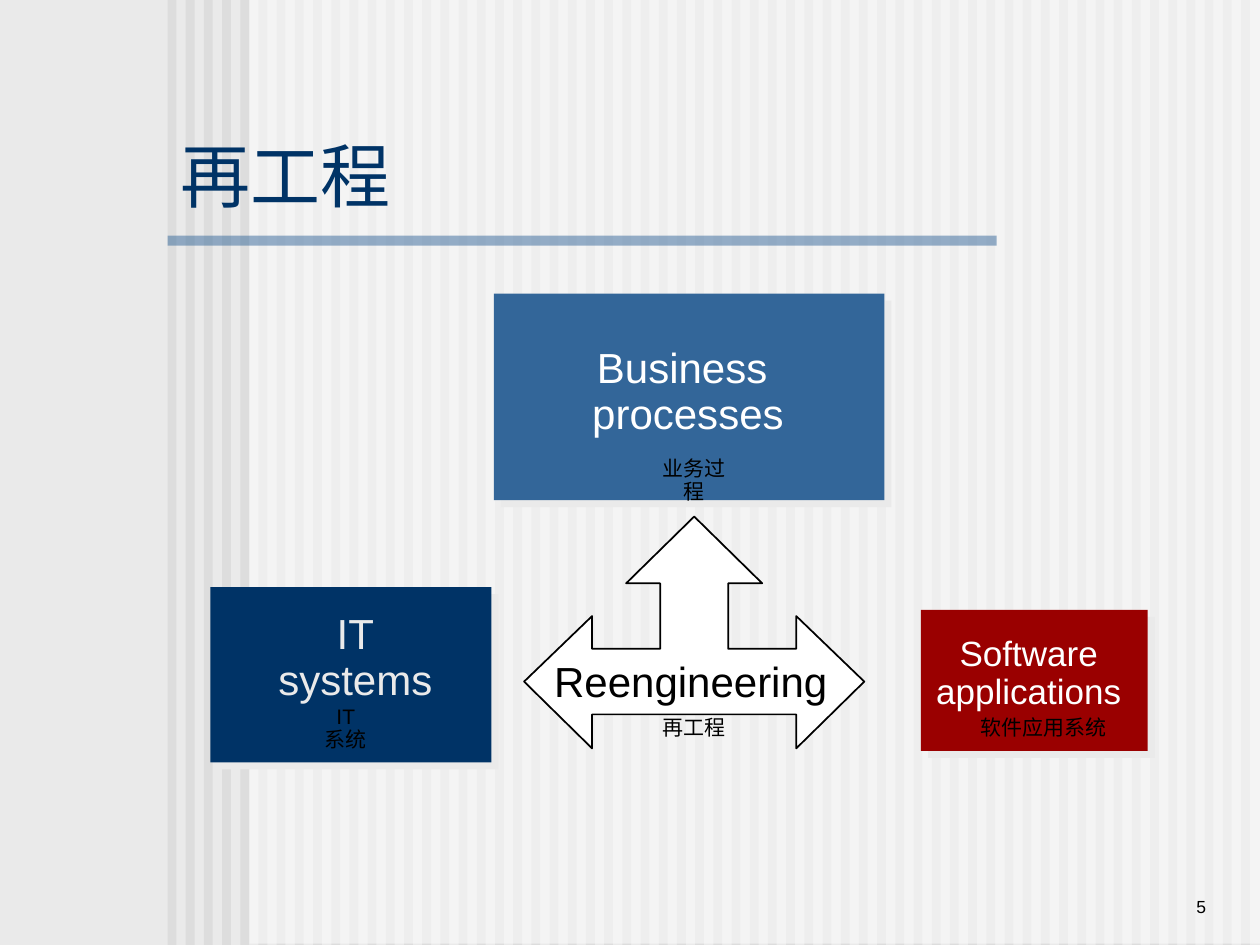
"""Build the reengineering slide: striped ground, three boxes and a three-way arrow."""
from dataclasses import dataclass
from typing import Any

import lxml.etree
import pptx
import pptx.dml.color
import pptx.enum.shapes
import pptx.enum.text
import pptx.oxml.ns
import pptx.util

Inches = pptx.util.Inches
Align = pptx.enum.text.PP_ALIGN
Anchor = pptx.enum.text.MSO_ANCHOR
qn = pptx.oxml.ns.qn


@dataclass
class Box:
    left: float
    top: float
    width: float
    height: float
    fill: str
    alpha: int = 100


@dataclass
class Label:
    left: float
    top: float
    width: float
    height: float
    lines: tuple[str, ...]
    size: int = 12
    color: str = "000000"
    align: Any = Align.CENTER
    space: float = 0.9


BOXES = [
    Box(3.92, 2.33, 3.1, 1.64, "336699"),
    Box(1.67, 4.66, 2.23, 1.39, "003366"),
    Box(7.31, 4.84, 1.8, 1.12, "9A0000"),
]
LABELS = [
    Label(5.08, 3.59, 0.86, 0.28, ("业务过程",)),
    Label(2.48, 5.56, 0.53, 0.46, ("IT", "系统")),
    Label(7.68, 5.64, 1.2, 0.28, ("软件应用系统",)),
    Label(5.16, 5.64, 0.7, 0.28, ("再工程",)),
    Label(4.6, 2.71, 1.72, 0.82, ("Business ", "processes"), 24, "FFFFFF"),
    Label(2.11, 4.82, 1.42, 0.82, ("IT", "systems"), 24, "EAEAEA"),
    Label(7.33, 5, 1.67, 0.7, ("Software", "applications"), 20, "FFFFFF"),
    Label(4.3, 5.2, 2.37, 0.46, ("Reengineering",), 24, align=Align.LEFT),
]
MID = 551
HALF = [(0, 410), (54, 463), (27, 463), (27, 515), (81, 515),
        (81, 489), (135, 541), (81, 594), (81, 567)]


def paint(item: Any, color: str) -> None:
    """Give a fill a solid colour."""
    item.solid()
    item.fore_color.rgb = pptx.dml.color.RGBColor.from_string(color)


def write(para: Any, text: str, size: int, color: str) -> None:
    """Add one formatted run to a paragraph."""
    run = para.add_run()
    run.text = text
    run.font.size = pptx.util.Pt(size)
    run.font.name = "Arial"
    paint(run.font.fill, color)


def add_box(shapes: Any, box: Box) -> Any:
    """Draw a plain rectangle, see-through where alpha is below 100."""
    shape = shapes.add_shape(
        pptx.enum.shapes.MSO_SHAPE.RECTANGLE, Inches(box.left), Inches(box.top),
        Inches(box.width), Inches(box.height))
    paint(shape.fill, box.fill)
    shape.line.fill.background()
    shape.shadow.inherit = False
    if box.alpha < 100:
        color = shape.element.spPr.find(qn("a:solidFill"))[0]
        lxml.etree.SubElement(color, qn("a:alpha"), val=str(box.alpha * 1000))
    return shape


def add_shade(shape: Any) -> None:
    """Cast a hard shadow down and to the right."""
    list_ = shape.element.spPr.find(qn("a:effectLst"))
    shade = lxml.etree.SubElement(
        list_, qn("a:outerShdw"), dist=str(pptx.util.Pt(5.7)), dir="2700000",
        algn="ctr", rotWithShape="0")
    lxml.etree.SubElement(shade, qn("a:srgbClr"), val="EAEAEA")


def add_label(shapes: Any, label: Label, wrap: bool = False) -> Any:
    """Add a text box with one paragraph for each line."""
    frame = shapes.add_textbox(
        Inches(label.left), Inches(label.top),
        Inches(label.width), Inches(label.height)).text_frame
    frame.word_wrap = wrap
    if not wrap:
        frame.auto_size = pptx.enum.text.MSO_AUTO_SIZE.SHAPE_TO_FIT_TEXT
    for num, line in enumerate(label.lines):
        para = frame.add_paragraph() if num else frame.paragraphs[0]
        para.alignment = label.align
        para.line_spacing = label.space
        write(para, line, label.size, label.color)
    return frame


def add_arrow(shapes: Any) -> None:
    """Draw the three-way arrow by mirroring its left half."""
    left = [(MID - x, y) for x, y in HALF]
    right = [(MID + x, y) for x, y in reversed(HALF[1:])]
    form = shapes.build_freeform(*left[0], scale=Inches(0.01))
    form.add_line_segments(left[1:] + right, close=True)
    arrow = form.convert_to_shape()
    paint(arrow.fill, "FFFFFF")
    paint(arrow.line.fill, "000000")
    arrow.line.width = pptx.util.Pt(1)
    arrow.shadow.inherit = False


def add_ground(slide: Any) -> None:
    """Draw the striped ground, its veil and the title rule."""
    paint(slide.background.fill, "EAEAEA")
    group = slide.shapes.add_group_shape().shapes
    step = (9.85 - 1.33) / 59
    for num in range(60):
        add_box(group, Box(1.33 + num * step, 0, 0.07, 7.5, "DDDDDD"))
    add_box(group, Box(1.98, 0, 8.02, 7.49, "FFFFFF", 50))
    add_box(group, Box(1.33, 1.87, 6.58, 0.08, "336699", 50))


def add_title(slide: Any) -> None:
    """Place the title above the ground."""
    title = slide.shapes.title
    slide.shapes.element.append(title.element)
    title.left, title.top = Inches(1.33), Inches(1.08)
    title.width, title.height = Inches(7.33), Inches(0.69)
    frame = title.text_frame
    frame.vertical_anchor = Anchor.BOTTOM
    frame.auto_size = pptx.enum.text.MSO_AUTO_SIZE.NONE
    frame.paragraphs[0].alignment = Align.LEFT
    write(frame.paragraphs[0], "再工程", 40, "003366")


def main() -> None:
    """Build and save the deck."""
    deck = pptx.Presentation()
    deck.slide_width, deck.slide_height = Inches(10), Inches(7.5)
    slide = deck.slides.add_slide(deck.slide_layouts[5])
    add_ground(slide)
    page = Label(8.25, 6.83, 1.42, 0.5, ("5",), 10, align=Align.RIGHT, space=1.0)
    add_label(slide.shapes, page, wrap=True).vertical_anchor = Anchor.BOTTOM
    add_title(slide)
    for box in BOXES:
        add_shade(add_box(slide.shapes, box))
    add_arrow(slide.shapes)
    for label in LABELS:
        add_label(slide.shapes, label)
    deck.save("out.pptx")


if __name__ == "__main__":
    main()
